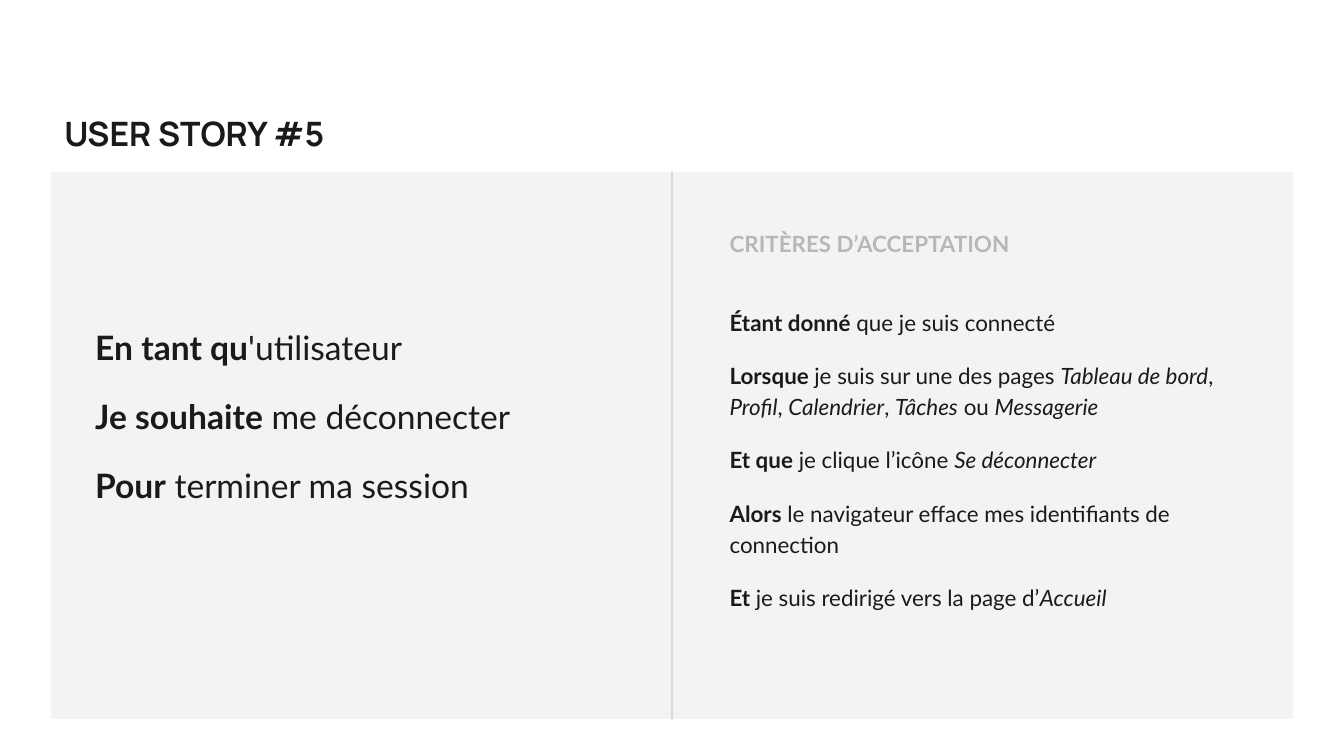
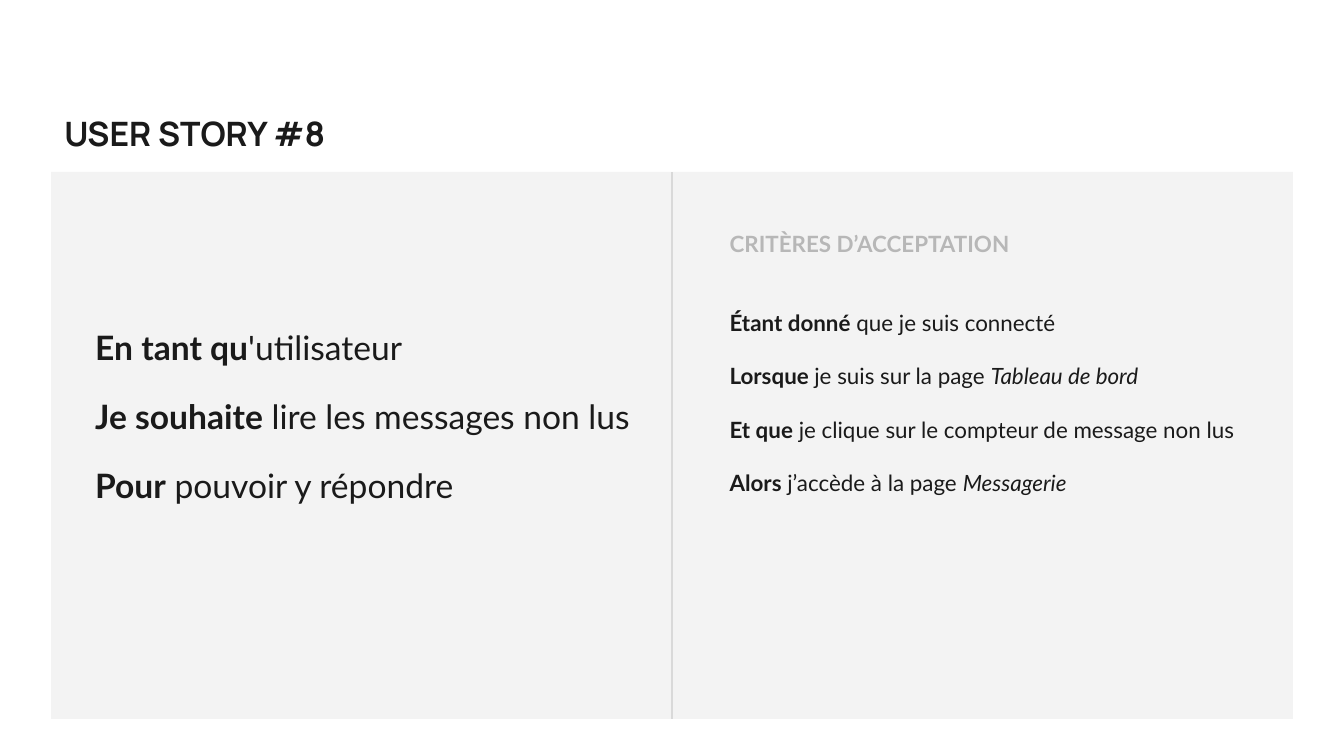
from lxml import etree
from pptx import Presentation
from pptx.dml.color import RGBColor
from pptx.enum.shapes import MSO_CONNECTOR as CONN, MSO_SHAPE as SHAPE
from pptx.enum.text import MSO_ANCHOR as ANCHOR
from pptx.oxml.ns import qn
from pptx.util import Pt

PX = 4572  # EMU per px, 200 px to the inch
INK = RGBColor(0x1A, 0x1A, 0x1A)
PANEL = RGBColor(0xF3, 0xF3, 0xF3)
RULE = RGBColor(0xD9, 0xD9, 0xD9)
MUTED = RGBColor(0xB7, 0xB7, 0xB7)
HEAD, BODY = "Manrope", "Lato"
INSET = 20
B, N, I = "bold", "normal", "italic"

# Each story: title, the user's wish, the acceptance criteria
STORIES = [
    ("USER STORY #5",
     [[("En tant qu", B), ("'utilisateur", N)],
      [("Je souhaite", B), (" me déconnecter", N)],
      [("Pour", B), (" terminer ma session", N)]],
     [[("Étant donné", B), (" que je suis connecté", N)],
      [("Lorsque ", B), ("je suis sur une des pages ", N),
       ("Tableau de bord", I), (", ", N), ("Profil", I), (", ", N),
       ("Calendrier", I), (", ", N), ("Tâches", I), (" ou ", N),
       ("Messagerie", I)],
      [("Et que", B), (" je clique l’icône ", N), ("Se déconnecter", I)],
      [("Alors", B),
       (" le navigateur efface mes identifiants de connection", N)],
      [("Et ", B), ("je suis redirigé vers la page d’", N),
       ("Accueil", I)]]),
    ("USER STORY #8",
     [[("En tant qu", B), ("'utilisateur", N)],
      [("Je souhaite", B), (" lire les messages non lus", N)],
      [("Pour", B), (" pouvoir y répondre", N)]],
     [[("Étant donné", B), (" que je suis connecté", N)],
      [("Lorsque ", B), ("je suis sur la page ", N), ("Tableau de bord", I)],
      [("Et que", B), (" je clique sur le compteur de message non lus", N)],
      [("Alors", B), (" j’accède à la page ", N), ("Messagerie", I)]]),
]


def add_text(s, box, paras, size, font=BODY, color=INK, spacing=None):
    tf = s.shapes.add_textbox(*[v * PX for v in box]).text_frame
    tf.word_wrap = True
    tf.vertical_anchor = ANCHOR.TOP
    tf.margin_left = tf.margin_right = INSET * PX
    tf.margin_top = tf.margin_bottom = INSET * PX
    for n, runs in enumerate(paras):
        p = tf.add_paragraph() if n else tf.paragraphs[0]
        if spacing:
            p.line_spacing = spacing
            p.space_before = Pt(12 if n else 0)
            p.space_after = Pt(12 if n == len(paras) - 1 else 0)
        for text, style in runs:
            r = p.add_run()
            r.text = text
            r.font.name = font
            r.font.size = Pt(size)
            r.font.color.rgb = color
            r.font.bold = style == B
            r.font.italic = style == I


prs = Presentation()
prs.slide_width, prs.slide_height = 2000 * PX, 1125 * PX

for title, wish, criteria in STORIES:
    s = prs.slides.add_slide(prs.slide_layouts[6])

    # Grey panel
    panel = s.shapes.add_shape(SHAPE.RECTANGLE, 76 * PX, 256 * PX,
                               1848 * PX, 814 * PX)
    panel.shadow.inherit = False
    panel.fill.solid()
    panel.fill.fore_color.rgb = PANEL
    panel.line.fill.background()

    # Title, wish and criteria
    add_text(s, (76, 148, 544, 108), [[(title, B)]], 18, HEAD)
    add_text(s, (122, 458, 838, 410), wish, 18, spacing=1.15)
    add_text(s, (1066, 434, 796, 574), criteria, 12, spacing=1.15)

    # Divider down the middle of the panel
    divider = s.shapes.add_connector(CONN.STRAIGHT, 1000 * PX, 256 * PX,
                                     1000 * PX, 1070 * PX)
    divider.begin_connect(panel, 0)
    divider.end_connect(panel, 2)
    divider.line.color.rgb = RULE
    divider.line.width = Pt(0.75)
    etree.SubElement(divider._element.spPr, qn("a:effectLst"))

    # Heading of the criteria
    add_text(s, (1066, 322, 656, 80), [[("CRITÈRES D’ACCEPTATION", B)]], 12,
             color=MUTED)

prs.save("out.pptx")
